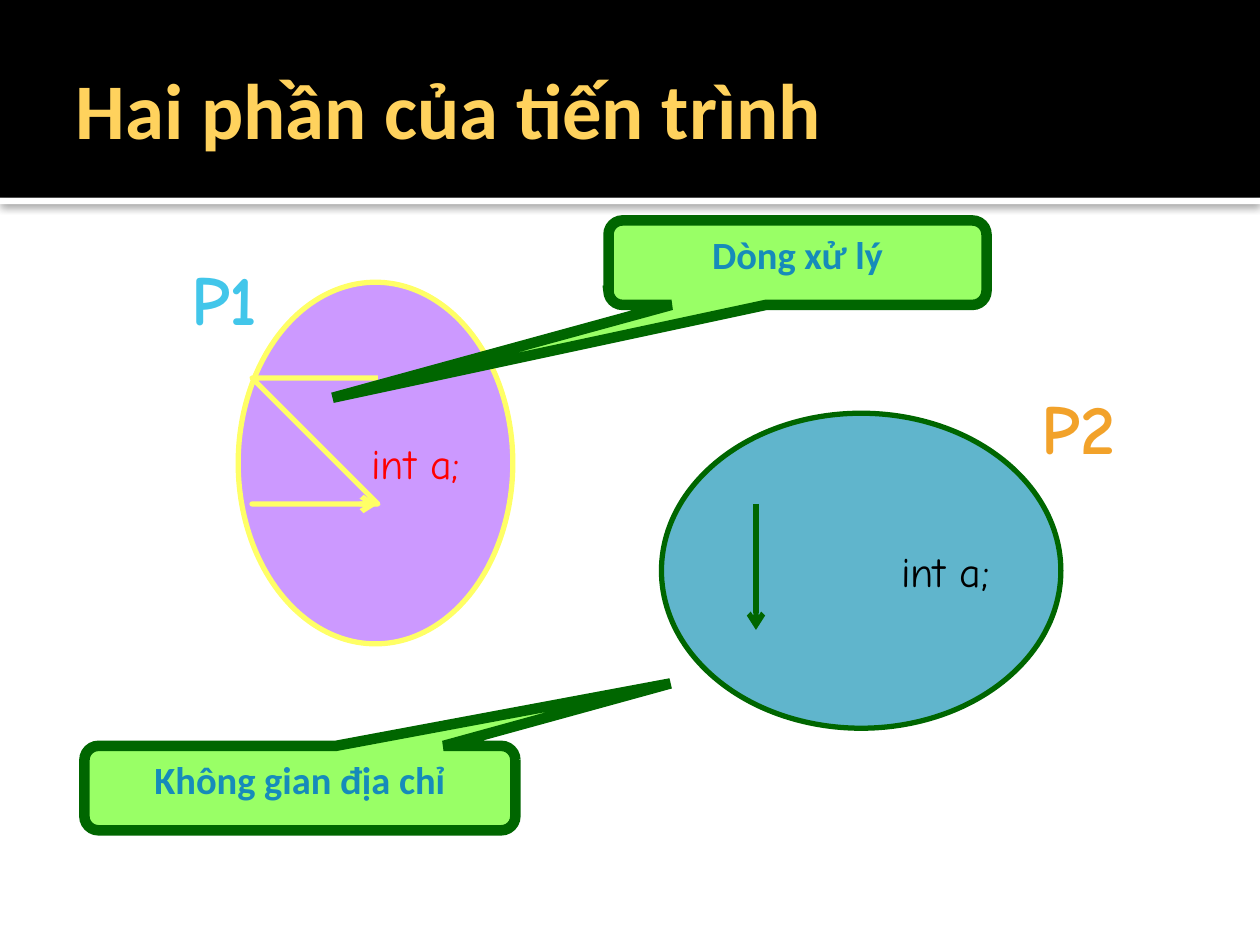
from dataclasses import dataclass

from lxml.etree import SubElement
from pptx import Presentation
from pptx.dml.color import RGBColor as RGB
from pptx.enum.shapes import MSO_SHAPE as Shape
from pptx.enum.text import MSO_ANCHOR as Anchor, MSO_AUTO_SIZE as AutoSize, PP_ALIGN as Align
from pptx.oxml.ns import qn
from pptx.util import Inches, Pt

Point = tuple[float, float]
Box = tuple[float, float, float, float]


@dataclass(frozen=True)
class Theme:
    heading: str = "Calibri"
    hand: str = "Comic Neue"
    black: str = "000000"
    white: str = "FFFFFF"
    title: str = "FFD25D"
    yellow: str = "FFFF66"
    green: str = "006600"
    lime: str = "99FF66"
    blue: str = "168BBA"
    title_size: int = 45
    name_size: int = 40
    code_size: int = 24
    callout_size: int = 22
    line: int = 3
    callout_line: int = 6


@dataclass(frozen=True)
class Process:
    name: str
    name_box: Box
    name_color: str
    oval: Box
    fill: str
    line: str
    code_color: str
    thread: list[Point]  # start, then two controls and an end for each curve


@dataclass(frozen=True)
class Callout:
    text: str
    box: Box
    tip: Point  # offset from the centre, in widths and heights


THEME = Theme()
PROCESSES = [
    Process("P1", (1.42, 1.98, 0.86, 0.77), "42C6EA",
            (1.89, 2.24, 2.18, 2.87), "CC99FF", THEME.yellow, "FF0000",
            [(2.63, 2.9), (2.45, 3.01), (2.27, 3.12), (2.27, 3.26),
             (2.27, 3.4), (2.61, 3.58), (2.63, 3.74),
             (2.65, 3.9), (2.39, 4.1), (2.39, 4.22),
             (2.39, 4.34), (2.51, 4.4), (2.63, 4.46)]),
    Process("P2", (8.17, 3, 0.84, 0.77), "F2A22A",
            (5.25, 3.28, 3.17, 2.5), "60B5CC", THEME.green, THEME.black,
            [(6.32, 3.85), (6.06, 3.94), (5.8, 4.04), (5.8, 4.16),
             (5.8, 4.28), (6.29, 4.44), (6.32, 4.58),
             (6.35, 4.72), (5.97, 4.9), (5.97, 5),
             (5.97, 5.11), (6.15, 5.16), (6.32, 5.21)]),
]
CALLOUTS = [
    Callout("Dòng xử lý", (4.83, 1.75, 3, 0.67), (-1.23, 1.6)),
    Callout("Không gian địa chỉ", (0.67, 5.92, 3.42, 0.67), (0.86, -1.24)),
]


def inches(values) -> list[int]:
    return [Inches(v) for v in values]


def set_text(sp, text: str, font: str, size: int, color: str, bold: bool = False,
             align=Align.LEFT, anchor=Anchor.TOP, wrap: bool = True):
    tf = sp.text_frame
    tf.text = text
    tf.word_wrap = wrap
    tf.vertical_anchor = anchor
    p = tf.paragraphs[0]
    p.alignment = align
    f = p.runs[0].font
    f.name, f.size, f.bold = font, Pt(size), bold
    f.color.rgb = RGB.from_string(color)
    return tf


def set_line(sp, color: str, width: int) -> None:
    sp.line.color.rgb = RGB.from_string(color)
    sp.line.width = Pt(width)


def add_filled(slide, kind, box: Box, fill: str):
    sp = slide.shapes.add_shape(kind, *inches(box))
    sp.shadow.inherit = False
    sp.fill.solid()
    sp.fill.fore_color.rgb = RGB.from_string(fill)
    sp.line.fill.background()
    return sp


def add_header(slide, text: str) -> None:
    strip = add_filled(slide, Shape.RECTANGLE, (0, 1.57, 10, 0.05), THEME.white)
    effects = strip._element.spPr.find(qn("a:effectLst"))
    shadow = SubElement(effects, qn("a:outerShdw"), blurRad=str(Pt(5)),
                        dist=str(Pt(0.8)), dir="5400000", rotWithShape="0")
    color = SubElement(shadow, qn("a:srgbClr"), val=THEME.black)
    SubElement(color, qn("a:alpha"), val="60000")
    add_filled(slide, Shape.RECTANGLE, (0, 0, 10, 1.57), THEME.black)

    title = slide.shapes.title
    title.left, title.top, title.width, title.height = inches((0.5, 0.17, 9, 1.37))
    tf = set_text(title, text, THEME.heading, THEME.title_size, THEME.title,
                  bold=True, anchor=Anchor.MIDDLE)
    tf.margin_right = Inches(0.05)
    slide.shapes._spTree.append(title._element)  # in front of the bands


def add_thread(slide, points: list[Point], color: str) -> None:
    """Draw a curved arrow: each three line segments become one cubic curve."""
    start, *rest = points
    builder = slide.shapes.build_freeform(*start, scale=Inches(1))
    builder.add_line_segments(rest, close=False)
    sp = builder.convert_to_shape()
    sp.shadow.inherit = False
    sp.fill.background()
    set_line(sp, color, THEME.line)

    outline = next(sp._element.iter(qn("a:path")))
    segments = outline.findall(qn("a:lnTo"))
    for i in range(0, len(segments), 3):
        curve = SubElement(outline, qn("a:cubicBezTo"))
        for segment in segments[i:i + 3]:
            curve.append(segment[0])
            outline.remove(segment)
    SubElement(sp.line._get_or_add_ln(), qn("a:tailEnd"), type="arrow")


def add_process(slide, process: Process) -> None:
    oval = add_filled(slide, Shape.OVAL, process.oval, process.fill)
    set_line(oval, process.line, THEME.line)
    set_text(oval, "int a;", THEME.hand, THEME.code_size, process.code_color,
             align=Align.RIGHT, anchor=Anchor.MIDDLE, wrap=False)
    add_thread(slide, process.thread, process.line)


def add_name(slide, process: Process) -> None:
    sp = slide.shapes.add_textbox(*inches(process.name_box))
    tf = set_text(sp, process.name, THEME.hand, THEME.name_size,
                  process.name_color, bold=True, wrap=False)
    tf.auto_size = AutoSize.SHAPE_TO_FIT_TEXT


def add_callout(slide, callout: Callout) -> None:
    sp = add_filled(slide, Shape.ROUNDED_RECTANGULAR_CALLOUT, callout.box, THEME.lime)
    sp.adjustments[0], sp.adjustments[1] = callout.tip
    set_line(sp, THEME.green, THEME.callout_line)
    SubElement(sp.line._get_or_add_ln(), qn("a:miter"), lim="800000")
    set_text(sp, callout.text, THEME.heading, THEME.callout_size, THEME.blue,
             bold=True, align=Align.CENTER)


def main() -> None:
    prs = Presentation()
    prs.slide_width, prs.slide_height = Inches(10), Inches(7.5)
    slide = prs.slides.add_slide(prs.slide_layouts[5])
    add_header(slide, "Hai phần của tiến trình")
    for process in PROCESSES:
        add_process(slide, process)
    for process in PROCESSES:
        add_name(slide, process)
    for callout in CALLOUTS:
        add_callout(slide, callout)
    prs.save("out.pptx")


if __name__ == "__main__":
    main()
